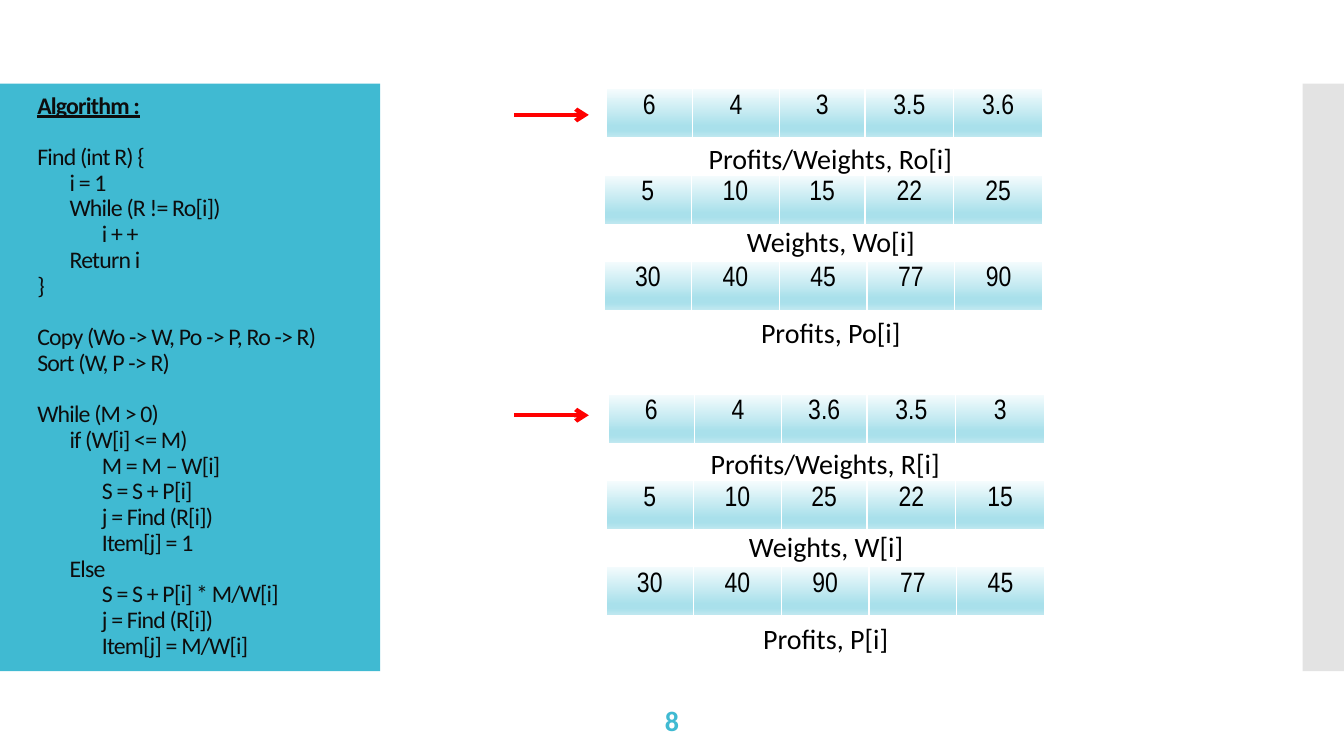
"""Build the knapsack slide: algorithm panel beside unsorted and sorted arrays."""
from dataclasses import dataclass

from lxml import etree
from pptx import Presentation
from pptx.dml.color import RGBColor
from pptx.enum.shapes import MSO_CONNECTOR, MSO_SHAPE
from pptx.enum.text import MSO_ANCHOR, MSO_AUTO_SIZE, PP_ALIGN
from pptx.oxml.ns import qn
from pptx.util import Inches, Pt

RECT = MSO_SHAPE.RECTANGLE
STRAIGHT = MSO_CONNECTOR.STRAIGHT
MIDDLE = MSO_ANCHOR.MIDDLE
NO_FIT = MSO_AUTO_SIZE.NONE
LEFT, CENTER = PP_ALIGN.LEFT, PP_ALIGN.CENTER


@dataclass(frozen=True)
class Theme:
    """Colours, fonts and type sizes of the slide."""
    accent: str = "40BAD2"
    side: str = "C8C8C8"
    arrow: str = "FF0000"
    code: str = "0D0D0D"
    text: str = "000000"
    border: str = "FFFFFF"
    gradient: tuple = ((0, "F5FCFD"), (74, "A9E0EB"), (83, "A9E0EB"), (100, "C6EAF1"))
    font: str = "Calibri"
    cell_font: str = "Arial Narrow"
    size: int = 20
    code_size: int = 17
    code_spacing: int = -60


THEME = Theme()
CODE_INDENT = 0.32
CODE_GAP = 18.4

CODE_BLOCKS = [
    [(0, "Algorithm :")],
    [(0, "Find (int R) {"), (1, "i = 1"), (1, "While (R != Ro[i])"),
     (2, "i + +"), (1, "Return i"), (0, "}")],
    [(0, "Copy (Wo -> W, Po -> P, Ro -> R)"), (0, "Sort (W, P -> R)")],
    [(0, "While (M > 0)"), (1, "if (W[i] <= M)"), (2, "M = M – W[i]"),
     (2, "S = S + P[i]"), (2, "j = Find (R[i])"), (2, "Item[j] = 1"),
     (1, "Else"), (2, "S = S + P[i] * M/W[i]"), (2, "j = Find (R[i])"),
     (2, "Item[j] = M/W[i]")],
]

ARRAY_ROWS = [
    (6.01, 0.88, (0.86, 0.86, 0.85, 0.88, 0.88), 6.93, 1.35),
    (5.99, 1.74, (0.87, 0.87, 0.85, 0.88, 0.88), 7.31, 2.17),
    (5.99, 2.59, (0.87,) * 5, 7.45, 3.08),
]

ARRAY_GROUPS = [
    (0, 0, 1.14, [
        ("Profits/Weights, Ro[i]", 2.64, ("6", "4", "3", "3.5", "3.6")),
        ("Weights, Wo[i]", 1.88, ("5", "10", "15", "22", "25")),
        ("Profits, Po[i]", 1.6, ("30", "40", "45", "77", "90"))]),
    (0.02, 3.03, 4.12, [
        ("Profits/Weights, R[i]", 2.5, ("6", "4", "3.6", "3.5", "3")),
        ("Weights, W[i]", 1.75, ("5", "10", "25", "22", "15")),
        ("Profits, P[i]", 1.46, ("30", "40", "90", "77", "45"))]),
]


def add_node(parent, tag, **attrs):
    """Append a DrawingML element and return it."""
    return etree.SubElement(parent, qn(tag), {k: str(v) for k, v in attrs.items()})


def style_font(p, size, color, name=THEME.font, bold=False):
    """Set the font of a whole paragraph."""
    p.font.name, p.font.size, p.font.bold = name, Pt(size), bold
    p.font.color.rgb = RGBColor.from_string(color)


def add_panel(s, x, y, w, h, color, alpha=100):
    """Add a flat rectangle, optionally see-through."""
    sp = s.shapes.add_shape(RECT, Inches(x), Inches(y), Inches(w), Inches(h))
    sp.shadow.inherit = False
    sp.fill.solid()
    sp.fill.fore_color.rgb = RGBColor.from_string(color)
    sp.line.fill.background()
    if alpha < 100:
        rgb = sp.fill._xPr.find(".//" + qn("a:srgbClr"))
        add_node(rgb, "a:alpha", val=alpha * 1000)


def add_code_title(s):
    """Write the algorithm into the title placeholder, above the panel."""
    sp = s.shapes.title
    s.shapes._spTree.append(sp._element)
    sp.left, sp.top = Inches(0.27), Inches(0.83)
    sp.width, sp.height = Inches(3.22), Inches(5.81)
    tf = sp.text_frame
    tf.auto_size, tf.word_wrap, tf.vertical_anchor = NO_FIT, True, MIDDLE
    lines = [(i, level, text, n == 0 and i > 0)
             for i, block in enumerate(CODE_BLOCKS)
             for n, (level, text) in enumerate(block)]
    for block, level, text, gap in lines:
        p = tf.add_paragraph() if block or gap else tf.paragraphs[0]
        p.alignment, p.line_spacing = LEFT, 0.9
        p.space_before = Pt(CODE_GAP if gap else 0)
        p._p.get_or_add_pPr().set("marL", str(Inches(level * CODE_INDENT)))
        style_font(p, THEME.code_size, THEME.code, bold=block == 0)
        p.font.underline = block == 0
        r = p.add_run()
        r.text = text
        r._r.get_or_add_rPr().set("spc", str(THEME.code_spacing))


def add_text(s, x, y, w, h, text, color=THEME.text, bold=False, align=LEFT, wrap=False):
    """Add a one-line text box."""
    tf = s.shapes.add_textbox(Inches(x), Inches(y), Inches(w), Inches(h)).text_frame
    tf.word_wrap, tf.vertical_anchor = wrap, MIDDLE
    p = tf.paragraphs[0]
    p.text, p.alignment = text, align
    style_font(p, THEME.size, color, bold=bold)


def add_arrow(s, x1, x2, y):
    """Add a horizontal arrow pointing right."""
    c = s.shapes.add_connector(STRAIGHT, Inches(x1), Inches(y), Inches(x2), Inches(y))
    c.line.color.rgb = RGBColor.from_string(THEME.arrow)
    c.line.width = Pt(3)
    add_node(c.line._get_or_add_ln(), "a:tailEnd", type="arrow")
    add_node(c._element.spPr, "a:effectLst")


def style_cell(cell):
    """Give a cell its white borders and vertical gradient."""
    tc_pr = cell._tc.get_or_add_tcPr()
    for side, width in (("L", 1), ("R", 1), ("T", 1), ("B", 3)):
        ln = add_node(tc_pr, "a:ln" + side, w=Pt(width))
        add_node(add_node(ln, "a:solidFill"), "a:srgbClr", val=THEME.border)
    grad = add_node(tc_pr, "a:gradFill", rotWithShape=1)
    stops = add_node(grad, "a:gsLst")
    for pos, color in THEME.gradient:
        add_node(add_node(stops, "a:gs", pos=pos * 1000), "a:srgbClr", val=color)
    add_node(grad, "a:lin", ang=90 * 60000, scaled=0)


def add_array(s, x, y, widths, values):
    """Add a one-row table of array values."""
    table = s.shapes.add_table(1, len(values), Inches(x), Inches(y),
                               Inches(sum(widths)), Inches(0.5)).table
    table.first_row = table.horz_banding = False
    for i, (width, value) in enumerate(zip(widths, values)):
        table.columns[i].width = Inches(width)
        cell = table.cell(0, i)
        p = cell.text_frame.paragraphs[0]
        p.text, p.alignment = value, CENTER
        style_font(p, THEME.size, THEME.text, THEME.cell_font)
        style_cell(cell)


def main():
    """Build and save the slide."""
    prs = Presentation()
    prs.slide_width, prs.slide_height = Inches(13.33), Inches(7.5)
    s = prs.slides.add_slide(prs.slide_layouts[5])
    add_panel(s, 0, 0.83, 3.77, 5.83, THEME.accent)
    add_panel(s, 12.92, 0.83, 0.41, 5.83, THEME.side, alpha=50)
    add_code_title(s)
    for dx, dy, arrow_y, arrays in ARRAY_GROUPS:
        add_arrow(s, 5.1, 5.84, arrow_y)
        for (x, y, widths, label_x, label_y), (label, label_w, values) in zip(ARRAY_ROWS, arrays):
            add_array(s, x + dx, y + dy, widths, values)
            add_text(s, label_x + dx, label_y + dy, label_w, 0.44, label)
    add_text(s, 5.83, 6.95, 1.67, 0.4, "8", THEME.accent, bold=True, align=CENTER, wrap=True)
    prs.save("out.pptx")


if __name__ == "__main__":
    main()
